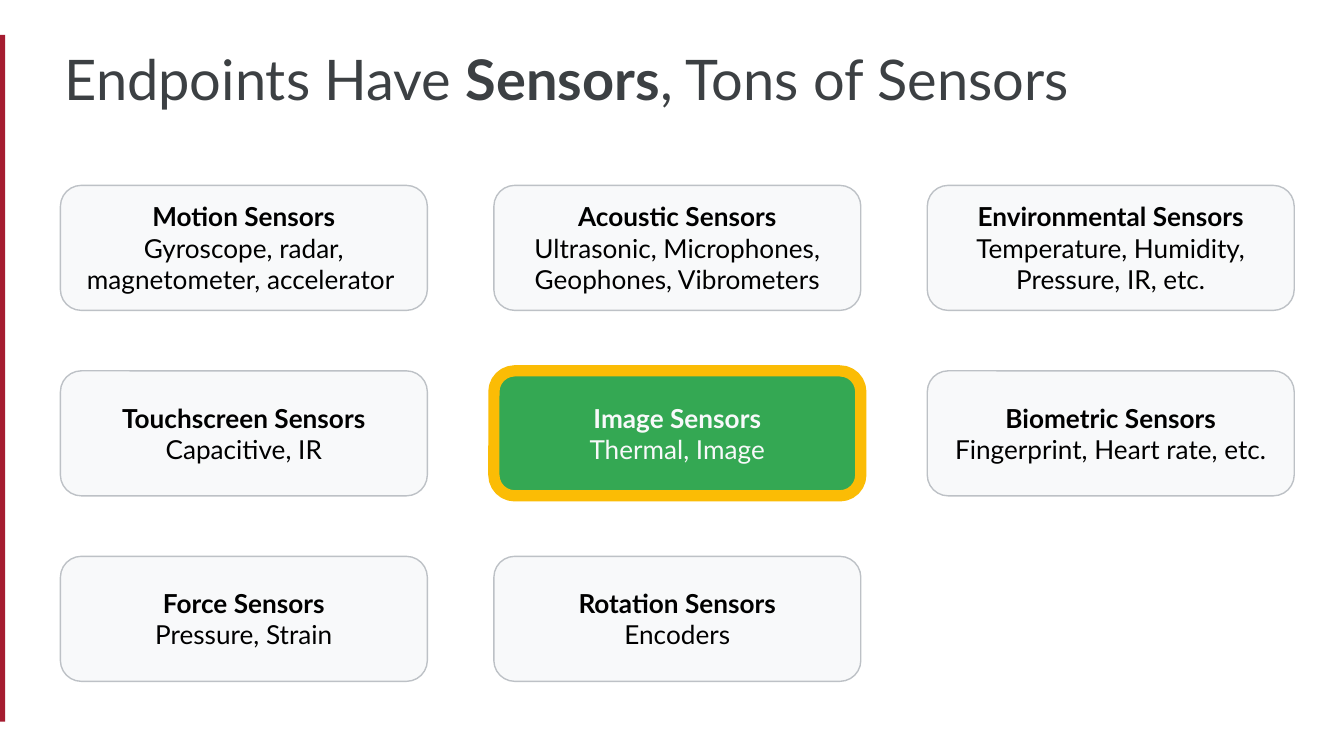
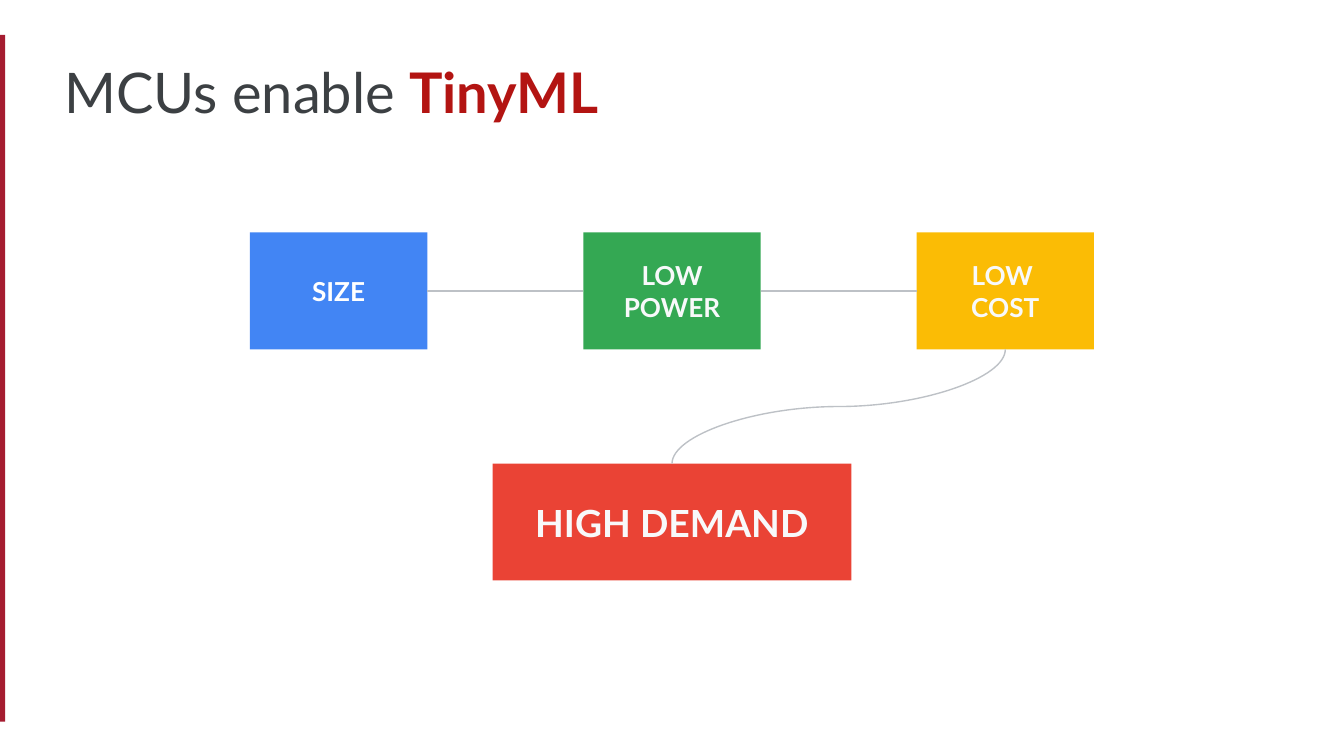
from dataclasses import dataclass
from itertools import pairwise

from lxml.etree import SubElement
from pptx import Presentation
from pptx.dml.color import RGBColor as RGB
from pptx.enum.shapes import MSO_CONNECTOR as Link, MSO_SHAPE as Preset
from pptx.enum.text import MSO_ANCHOR as Anchor, MSO_AUTO_SIZE as AutoSize, PP_ALIGN as Align
from pptx.oxml.ns import qn
from pptx.util import Inches, Pt


@dataclass(frozen=True)
class Theme:
    font: str = "Lato"
    title_size: int = 30
    label_size: int = 14
    outcome_size: int = 20
    hairline: float = 0.75
    highlight_line: float = 6
    crimson: str = "A51C30"
    dark_red: str = "B31412"
    charcoal: str = "3C4043"
    black: str = "000000"
    white: str = "FFFFFF"
    mist: str = "F8F9FA"
    gray: str = "BDC1C6"
    blue: str = "4285F4"
    green: str = "34A853"
    yellow: str = "FBBC05"
    red: str = "EA4335"


@dataclass(frozen=True)
class Box:
    left: float
    top: float
    width: float
    height: float

    @property
    def inches(self):
        return [Inches(v) for v in (self.left, self.top, self.width, self.height)]


THEME = Theme()
BAND = Box(-0.02, 0.26, 0.06, 5.11)
TITLE = Box(0.38, 0.29, 8.53, 0.59)
SENSOR_GRID = Box(0.45, 1.38, 9.18, 3.69)
DRIVER_FLOW = Box(1.86, 1.73, 6.28, 2.59)

SENSORS = [
    ("Motion Sensors", "Gyroscope, radar, magnetometer, accelerator "),
    ("Acoustic Sensors", "Ultrasonic, Microphones, Geophones, Vibrometers"),
    ("Environmental Sensors", "Temperature, Humidity, Pressure, IR, etc."),
    ("Touchscreen Sensors", "Capacitive, IR"),
    ("Image Sensors", "Thermal, Image"),
    ("Biometric Sensors", "Fingerprint, Heart rate, etc."),
    ("Force Sensors", "Pressure, Strain"),
    ("Rotation Sensors", "Encoders"),
]
HIGHLIGHT = "Image Sensors"

DRIVERS = [
    ("SIZE", THEME.blue, THEME.white),
    ("LOW POWER", THEME.green, THEME.mist),
    ("LOW \vCOST", THEME.yellow, THEME.mist),
]


def style_run(run, size, color, bold):
    run.font.name = THEME.font
    run.font.size = Pt(size)
    run.font.bold = bold
    run.font.color.rgb = RGB.from_string(color)


def set_insets(frame):
    frame.margin_left = frame.margin_right = Inches(0.1)
    frame.margin_top = frame.margin_bottom = Inches(0.1)
    frame.word_wrap = True


def add_panel(slide, preset, box, fill, line=None, line_width=THEME.hairline):
    panel = slide.shapes.add_shape(preset, *box.inches)
    panel.shadow.inherit = False
    panel.fill.solid()
    panel.fill.fore_color.rgb = RGB.from_string(fill)
    if line:
        panel.line.color.rgb = RGB.from_string(line)
        panel.line.width = Pt(line_width)
    else:
        panel.line.fill.background()
    return panel


def write_label(panel, text, size, color):
    frame = panel.text_frame
    set_insets(frame)
    frame.vertical_anchor = Anchor.MIDDLE
    frame.text = text
    for index, paragraph in enumerate(frame.paragraphs):
        paragraph.alignment = Align.CENTER
        for run in paragraph.runs:
            style_run(run, size, color, bold=index == 0)


def add_link(slide, kind, source, source_site, target, target_site):
    link = slide.shapes.add_connector(kind, 0, 0, 0, 0)
    link.begin_connect(source, source_site)
    link.end_connect(target, target_site)
    link.line.color.rgb = RGB.from_string(THEME.gray)
    link.line.width = Pt(THEME.hairline)
    SubElement(link.element.spPr, qn("a:effectLst"))
    return link


def turn_upright(link):
    center_x = link.left + link.width // 2
    center_y = link.top + link.height // 2
    link.width, link.height = link.height, link.width
    link.left = center_x - link.width // 2
    link.top = center_y - link.height // 2
    frame = link.element.spPr.find(qn("a:xfrm"))
    frame.attrib.pop("flipH", None)
    frame.set("rot", "5400000")


def move_band_to_layout(slide, box):
    band = add_panel(slide, Preset.RECTANGLE, box, THEME.crimson)
    slide.slide_layout.shapes.element.append(band.element)


def write_title(slide, box, parts, line_spacing):
    title = slide.shapes.title
    title.left, title.top, title.width, title.height = box.inches
    frame = title.text_frame
    set_insets(frame)
    frame.auto_size = AutoSize.NONE
    frame.vertical_anchor = Anchor.TOP
    paragraph = frame.paragraphs[0]
    paragraph.alignment = Align.LEFT
    paragraph.line_spacing = line_spacing
    for text, color, bold in parts:
        run = paragraph.add_run()
        run.text = text
        style_run(run, THEME.title_size, color, bold)


def draw_sensor_grid(slide, box, columns=3, rows=3):
    width, height = 2.73, 0.93
    step_x = (box.width - width) / (columns - 1)
    step_y = (box.height - height) / (rows - 1)
    for index, (name, examples) in enumerate(SENSORS):
        row, column = divmod(index, columns)
        cell = Box(box.left + column * step_x, box.top + row * step_y, width, height)
        if name == HIGHLIGHT:
            look = (THEME.green, THEME.yellow, THEME.highlight_line)
            color = THEME.mist
        else:
            look = (THEME.mist, THEME.gray)
            color = THEME.black
        card = add_panel(slide, Preset.ROUNDED_RECTANGLE, cell, *look)
        write_label(card, f"{name}\n{examples}", THEME.label_size, color)


def draw_driver_flow(slide, box):
    width, height, outcome_width = 1.32, 0.87, 2.67
    step = (box.width - width) / (len(DRIVERS) - 1)
    drivers = []
    for index, (name, fill, color) in enumerate(DRIVERS):
        place = Box(box.left + index * step, box.top, width, height)
        driver = add_panel(slide, Preset.RECTANGLE, place, fill)
        write_label(driver, name, THEME.label_size, color)
        drivers.append(driver)
    place = Box(box.left + (box.width - outcome_width) / 2,
                box.top + box.height - height, outcome_width, height)
    outcome = add_panel(slide, Preset.RECTANGLE, place, THEME.red)
    write_label(outcome, "HIGH DEMAND", THEME.outcome_size, THEME.mist)

    top, left, bottom, right = range(4)
    for source, target in pairwise(drivers):
        add_link(slide, Link.STRAIGHT, source, right, target, left)
    turn_upright(add_link(slide, Link.CURVE, drivers[-1], bottom, outcome, top))


def main():
    deck = Presentation()
    deck.slide_width = Inches(10)
    deck.slide_height = deck.slide_width * 9 // 16
    title_only = deck.slide_layouts[5]

    sensors = deck.slides.add_slide(title_only)
    move_band_to_layout(sensors, BAND)
    write_title(sensors, TITLE, [
        ("Endpoints Have ", THEME.charcoal, False),
        ("Sensors", THEME.charcoal, True),
        (", Tons of Sensors", THEME.charcoal, False),
    ], 0.9)
    draw_sensor_grid(sensors, SENSOR_GRID)

    enablers = deck.slides.add_slide(title_only)
    write_title(enablers, TITLE, [
        ("MCUs enable ", THEME.charcoal, False),
        ("TinyML", THEME.dark_red, True),
    ], 1.08)
    draw_driver_flow(enablers, DRIVER_FLOW)

    deck.save("out.pptx")


if __name__ == "__main__":
    main()
